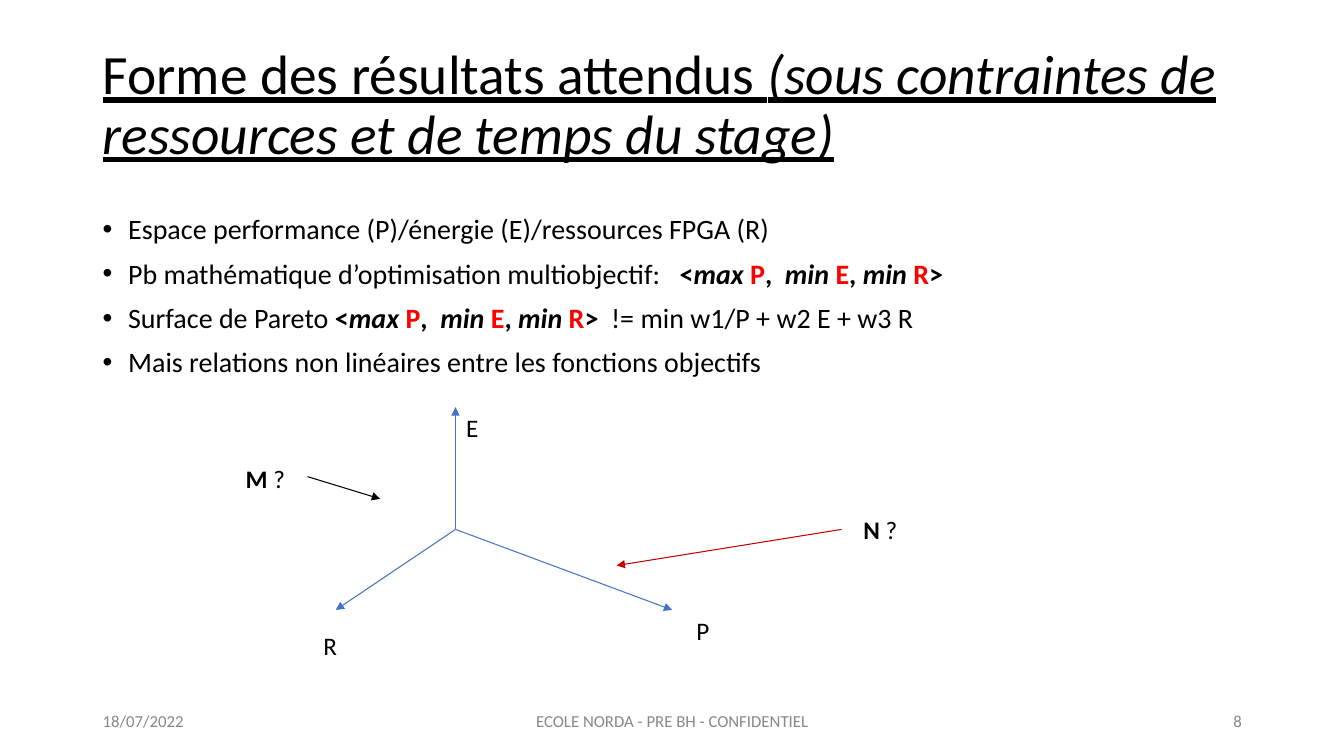
from dataclasses import dataclass

from lxml import etree
from pptx import Presentation
from pptx.dml.color import RGBColor
from pptx.enum.shapes import MSO_CONNECTOR
from pptx.enum.text import MSO_ANCHOR, PP_ALIGN
from pptx.oxml.ns import qn
from pptx.util import Cm, Pt

STRAIGHT = MSO_CONNECTOR.STRAIGHT
TOP, MIDDLE = MSO_ANCHOR.TOP, MSO_ANCHOR.MIDDLE
LEFT, CENTER, RIGHT = PP_ALIGN.LEFT, PP_ALIGN.CENTER, PP_ALIGN.RIGHT


@dataclass(frozen=True)
class Theme:
    """Colours, font and sizes of the slide."""
    font: str = "Calibri"
    ink: str = "000000"
    gray: str = "888888"
    red: str = "FF0000"
    dark: str = "C00000"
    blue: str = "4472C4"
    title: float = 39.6
    body: float = 20
    label: float = 18
    foot: float = 12
    line: float = 0.75
    space: float = 4.52


THEME = Theme()
PLAIN = {}
BOLD = {"bold": True}
MAX = {"bold": True, "italic": True}
RED = {"bold": True, "color": THEME.red}
GOAL = [("<", BOLD), ("max ", MAX), ("P", RED), (",", BOLD), (" ", {"extra": 1}),
        ("min ", MAX), ("E", RED), (", ", BOLD), ("min ", MAX), ("R", RED), (">", BOLD)]
TITLE = [("Forme des résultats attendus ", {"underline": True}),
         ("(sous contraintes de ressources et de temps du stage)",
          {"underline": True, "italic": True})]
POINTS = [
    [("Espace performance (P)/énergie (E)/ressources FPGA (R)", PLAIN)],
    [("Pb mathématique d’optimisation multiobjectif:", PLAIN), (" ", {"extra": 2}), *GOAL],
    [("Surface de Pareto ", PLAIN), *GOAL, (" ", {"extra": 1}),
     ("!= min w1/P + w2 E + w3 R", PLAIN)],
    [("Mais relations non linéaires entre les fonctions objectifs", PLAIN)],
]
ORIGIN = (11.48, 13.34)
TIPS = [(11.48, 10.26), (16.94, 15.37), (8.46, 15.37)]
LABELS = [
    (11.5, 10.26, [("E", PLAIN)]),
    (17.3, 15.39, [("P", PLAIN)]),
    (7.9, 15.75, [("R", PLAIN)]),
    (21.51, 12.83, [("N", BOLD), (" ?", PLAIN)]),
    (5.94, 11.56, [("M", BOLD), (" ?", PLAIN)]),
]
FOOT = [
    (2.34, 7.62, "18/07/2022", LEFT),
    (11.23, 11.43, "ECOLE NORDA - PRE BH - CONFIDENTIEL", CENTER),
    (23.93, 7.62, "8", RIGHT),
]


class Painter:
    """Draws text and arrows on one slide in one style."""

    def __init__(self, slide, theme):
        self.shapes = slide.shapes
        self.theme = theme

    def text(self, box, lines, size, color=None, anchor=TOP, **format):
        """Add a text box whose lines are lists of (text, style) runs."""
        frame = self.shapes.add_textbox(*map(Cm, box)).text_frame
        frame.word_wrap = True
        frame.vertical_anchor = anchor
        for index, runs in enumerate(lines):
            para = frame.paragraphs[0] if index == 0 else frame.add_paragraph()
            for name, value in format.items():
                setattr(para, name, value)
            for words, style in runs:
                self.run(para, words, size, color or self.theme.ink, style)
        return frame

    def run(self, para, words, size, color, style):
        """Add one run, widened by extra spaces if its style asks."""
        run = para.add_run()
        run.text = words
        values = {"name": self.theme.font, "size": Pt(size), **style}
        tint = values.pop("color", color)
        extra = values.pop("extra", 0)
        for name, value in values.items():
            setattr(run.font, name, value)
        run.font.color.rgb = RGBColor.from_string(tint)
        if extra:
            run._r.get_or_add_rPr().set("spc", str(round(extra * self.theme.space * 100)))

    def list(self, box, lines, size):
        """Add a bulleted list."""
        frame = self.text(box, lines, size, line_spacing=0.9, space_before=Pt(10))
        frame.paragraphs[0].space_before = Pt(0)
        for para in frame.paragraphs:
            props = para._p.get_or_add_pPr()
            indent = Cm(0.64)
            props.set("marL", str(indent))
            props.set("indent", str(-indent))
            tint = etree.SubElement(props, qn("a:buClr"))
            etree.SubElement(tint, qn("a:srgbClr"), val=self.theme.ink)
            etree.SubElement(props, qn("a:buFont"), typeface="Arial")
            etree.SubElement(props, qn("a:buChar"), char="•")

    def arrow(self, start, end, color):
        """Add a thin line with a head at its end."""
        link = self.shapes.add_connector(STRAIGHT, *map(Cm, (*start, *end)))
        link.line.color.rgb = RGBColor.from_string(color)
        link.line.width = Pt(self.theme.line)
        etree.SubElement(link.line._get_or_add_ln(), qn("a:tailEnd"), type="triangle")
        etree.SubElement(link._element.spPr, qn("a:effectLst"))


def main():
    """Build and save the slide."""
    deck = Presentation()
    deck.slide_width, deck.slide_height = Cm(33.87), Cm(19.05)
    paint = Painter(deck.slides.add_slide(deck.slide_layouts[6]), THEME)

    paint.text((2.34, 0.84, 29.21, 3.68), [TITLE], THEME.title,
               anchor=MIDDLE, line_spacing=0.9)
    paint.list((2.34, 5.31, 29.21, 12.09), POINTS, THEME.body)
    for tip in TIPS:
        paint.arrow(ORIGIN, tip, THEME.blue)
    paint.arrow((21.21, 13.34), (15.54, 14.25), THEME.dark)
    paint.arrow((7.75, 12.01), (9.58, 12.57), THEME.ink)
    for left, top, runs in LABELS:
        paint.text((left, top, 1.6, 1.02), [runs], THEME.label)
    for left, width, words, align in FOOT:
        paint.text((left, 17.65, width, 1.02), [[(words, PLAIN)]], THEME.foot,
                   THEME.gray, MIDDLE, alignment=align)
    deck.save("out.pptx")


if __name__ == "__main__":
    main()
